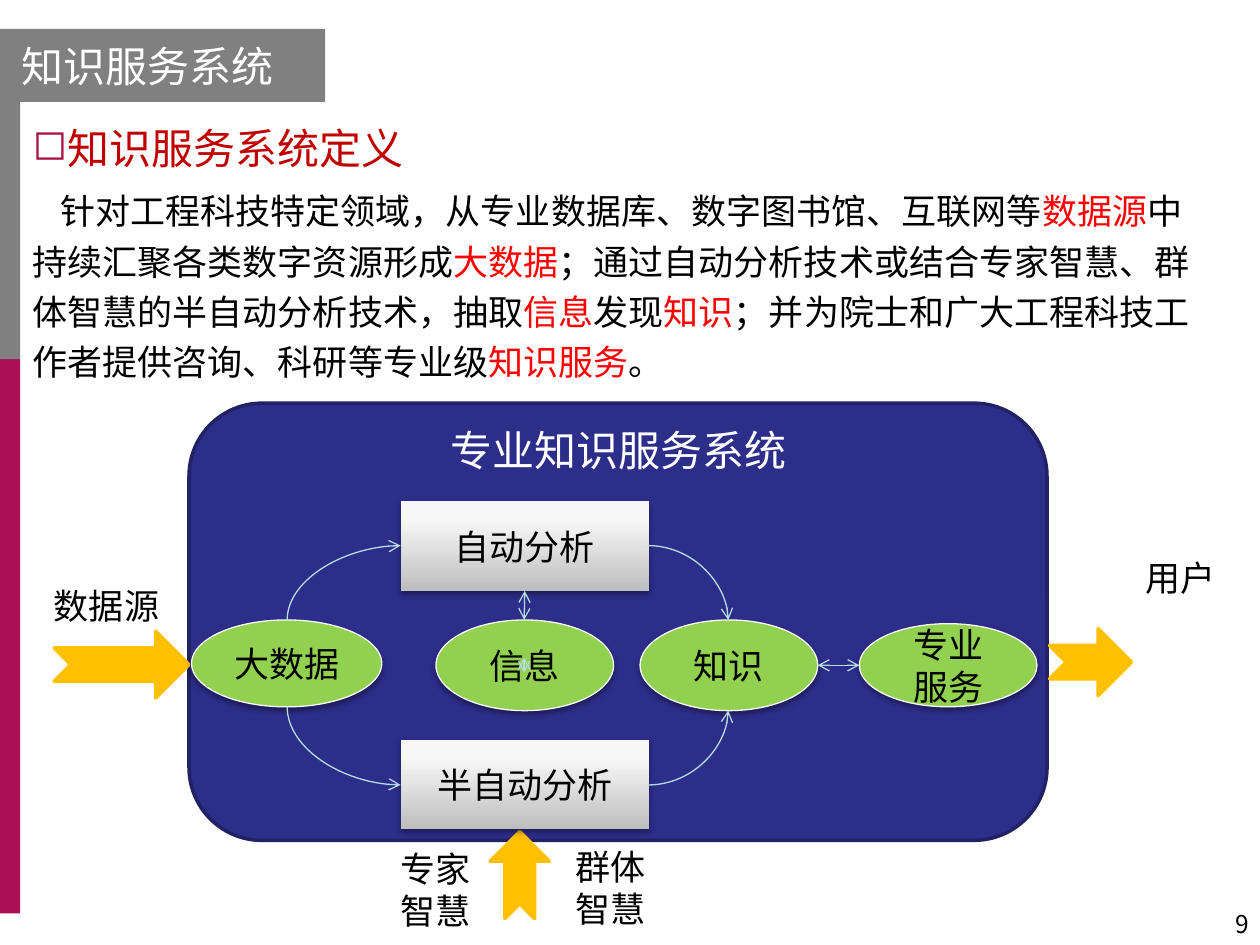
from dataclasses import dataclass

import pptx
import pptx.dml.color
import pptx.enum.shapes
import pptx.enum.text
import pptx.oxml
import pptx.oxml.ns
import pptx.util
from pptx.util import Inches

FACE = "Noto Sans CJK SC"
BLACK, WHITE, RED, GOLD = "000000", "FFFFFF", "FF0000", "FFC000"
GREY, WINE, NAVY, LIME, PALE = "808080", "AA1054", "2D2D8A", "92D050", "B6DCDF"
KIND = pptx.enum.shapes.MSO_SHAPE
LINK = pptx.enum.shapes.MSO_CONNECTOR
ALIGN = pptx.enum.text.PP_ALIGN
ANCHOR = pptx.enum.text.MSO_ANCHOR
FIT = pptx.enum.text.MSO_AUTO_SIZE


@dataclass
class Box:
    left: float
    top: float
    width: float
    height: float

    def place(self) -> tuple:
        return tuple(Inches(n) for n in (self.left, self.top, self.width, self.height))


@dataclass
class Node:
    text: str
    box: Box


@dataclass
class Path:
    start: tuple
    end: tuple
    head: bool = True
    tail: bool = True


OVALS = [
    Node("大数据", Box(1.52, 4.92, 1.51, 0.69)),
    Node("知识", Box(5.08, 4.92, 1.41, 0.72)),
    Node("信息", Box(3.46, 4.92, 1.41, 0.72)),
    Node("专业服务", Box(6.82, 4.95, 1.41, 0.66)),
]
PLATES = [
    Node("自动分析", Box(3.18, 3.98, 1.97, 0.71)),
    Node("半自动分析", Box(3.18, 5.87, 1.97, 0.71)),
]
LABELS = [
    Node("数据源", Box(0.33, 4.59, 1.04, 0.44)),
    Node("专家\n智慧", Box(3.08, 6.68, 0.76, 0.77)),
    Node("群体\n智慧", Box(4.47, 6.66, 0.76, 0.77)),
    Node("用户", Box(8.99, 4.37, 0.76, 0.44)),
]
ARROWS = [
    (Box(0.43, 5.01, 1.07, 0.53), 0),
    (Box(8.33, 4.99, 0.65, 0.53), 0),
    (Box(3.78, 6.71, 0.69, 0.47), 270),
]
CURVES = [
    Path((3.18, 6.23), (2.28, 5.61), tail=False),
    Path((3.18, 4.33), (2.28, 4.92), tail=False),
    Path((5.14, 4.33), (5.78, 4.92), head=False),
    Path((5.14, 6.23), (5.78, 5.64), head=False),
]
BODY = [
    ("针对工程科技特定领域，从专业数据库、数字图书馆、互联网等", BLACK),
    ("数据源", RED),
    ("中持续汇聚各类数字资源形成", BLACK),
    ("大数据", RED),
    ("；通过自动分析技术或结合专家智慧、群体智慧的半自动分析技术，抽取", BLACK),
    ("信息", RED),
    ("发现", BLACK),
    ("知识", RED),
    ("；并为院士和广大工程科技工作者提供咨询、科研等专业级", BLACK),
    ("知识服务", RED),
    ("。", BLACK),
]


def tint(code: str) -> pptx.dml.color.RGBColor:
    return pptx.dml.color.RGBColor.from_string(code)


def node(parent, tag: str, **attrs):
    item = pptx.oxml.parse_xml(
        f'<a:{tag} xmlns:a="http://schemas.openxmlformats.org/drawingml/2006/main"/>')
    for key, value in attrs.items():
        item.set(key, str(value))
    parent.append(item)
    return item


def style(para, size: float, color: str = BLACK, align=ALIGN.LEFT) -> None:
    para.alignment = align
    font = para.font
    font.size, font.name, font.bold = pptx.util.Pt(size), FACE, False
    font.color.rgb = tint(color)
    node(para._p.pPr.find(pptx.oxml.ns.qn("a:defRPr")), "ea", typeface=FACE)


def write(shape, text: str, size: float = 20, color: str = BLACK,
          align=ALIGN.CENTER, anchor=ANCHOR.MIDDLE, wrap: bool = True) -> None:
    frame = shape.text_frame
    frame.word_wrap, frame.vertical_anchor = wrap, anchor
    frame.text = text
    for para in frame.paragraphs:
        style(para, size, color, align)


def draw(slide, kind, box: Box, fill: str, edge: str = "", width: float = 2):
    shape = slide.shapes.add_shape(kind, *box.place())
    shape.shadow.inherit = False
    shape.fill.solid()
    shape.fill.fore_color.rgb = tint(fill)
    if edge:
        shape.line.color.rgb = tint(edge)
        shape.line.width = pptx.util.Pt(width)
    else:
        shape.line.fill.background()
    return shape


def shade(shape) -> None:
    effect = shape._element.spPr.find(pptx.oxml.ns.qn("a:effectLst"))
    outer = node(effect, "outerShdw", blurRad=pptx.util.Pt(3.1), dist=pptx.util.Pt(1.8),
                 dir=5400000, rotWithShape=0)
    node(node(outer, "srgbClr", val=BLACK), "alpha", val=35000)


def plate(slide, item: Node):
    shape = draw(slide, KIND.RECTANGLE, item.box, WHITE)
    shape.fill.gradient()
    shape.fill.gradient_angle = 90
    for stop, spot, code in zip(shape.fill.gradient_stops, (0, 0.8), ("BEBEBE", "F7F7F7")):
        stop.position, stop.color.rgb = spot, tint(code)
    shade(shape)
    write(shape, item.text)
    return shape


def join(slide, route: Path, curve: bool = False):
    kind = LINK.CURVE if curve else LINK.STRAIGHT
    line = slide.shapes.add_connector(
        kind, *(Inches(n) for n in route.start + route.end))
    line.line.color.rgb = tint(PALE)
    line.line.width = pptx.util.Pt(0.75)
    props = line._element.spPr
    if curve:
        props.find(pptx.oxml.ns.qn("a:prstGeom")).set("prst", "curvedConnector2")
    stroke = line.line._get_or_add_ln()
    if route.head:
        node(stroke, "headEnd", type="arrow")
    if route.tail:
        node(stroke, "tailEnd", type="arrow")
    node(props, "effectLst")
    return line


def fill_body(slide) -> None:
    frame = slide.shapes.add_textbox(*Box(0.16, 0.84, 9.42, 2.37).place()).text_frame
    frame.word_wrap = True
    head, body = frame.paragraphs[0], frame.add_paragraph()
    head.text = "知识服务系统定义"
    head.space_after = pptx.util.Pt(5)
    props = head._p.get_or_add_pPr()
    props.set("marL", str(Inches(0.2)))
    props.set("indent", str(-Inches(0.2)))
    node(node(props, "buClr"), "srgbClr", val="AB1343")
    node(props, "buChar", char="◻")
    style(head, 24, "C00000")
    body._p.get_or_add_pPr().set("indent", str(Inches(0.22)))
    style(body, 20)
    for text, color in BODY:
        run = body.add_run()
        run.text = text
        if color != BLACK:
            run.font.color.rgb = tint(color)
    head.line_spacing = body.line_spacing = 1.2


def main() -> None:
    deck = pptx.Presentation()
    deck.slide_width, deck.slide_height = Inches(10), Inches(7.5)
    slide = deck.slides.add_slide(deck.slide_layouts[5])
    title = slide.shapes.title
    title.left, title.top, title.width, title.height = Box(0, 0.23, 2.58, 0.58).place()
    title.fill.solid()
    title.fill.fore_color.rgb = tint(GREY)
    write(title, "知识服务系统", 24, WHITE, ALIGN.LEFT, wrap=False)
    title.text_frame.auto_size = FIT.NONE
    title.text_frame.margin_left = Inches(0.17)

    draw(slide, KIND.RECTANGLE, Box(0, 2.85, 0.16, 4.4), WINE)
    draw(slide, KIND.RECTANGLE, Box(0, 0.81, 0.16, 2.04), GREY)
    page = slide.shapes.add_textbox(*Box(7.68, 6.98, 2.33, 0.52).place())
    write(page, "9", 14, align=ALIGN.RIGHT, anchor=ANCHOR.BOTTOM)
    fill_body(slide)

    panel = draw(slide, KIND.ROUNDED_RECTANGLE, Box(1.5, 3.2, 6.81, 3.47), NAVY, "212166")
    write(panel, "专业知识服务系统", 24, WHITE, anchor=ANCHOR.TOP)
    panel.text_frame.margin_top = 0
    for box, turn in ARROWS:
        draw(slide, KIND.NOTCHED_RIGHT_ARROW, box, GOLD, GOLD).rotation = turn
    plates = [plate(slide, item) for item in PLATES]
    for item in OVALS:
        oval = draw(slide, KIND.OVAL, item.box, LIME, "F9F9F9", 0.75)
        shade(oval)
        write(oval, item.text)
    for item in LABELS:
        label = slide.shapes.add_textbox(*item.box.place())
        write(label, item.text, align=ALIGN.LEFT, anchor=ANCHOR.TOP, wrap=False)
    for route in CURVES:
        join(slide, route, True)
    join(slide, Path((4.16, 4.69), (4.16, 4.92))).begin_connect(plates[0], 2)
    join(slide, Path((4.16, 5.34), (4.16, 5.22)))
    join(slide, Path((6.49, 5.28), (6.82, 5.28)))
    deck.save("out.pptx")


if __name__ == "__main__":
    main()
